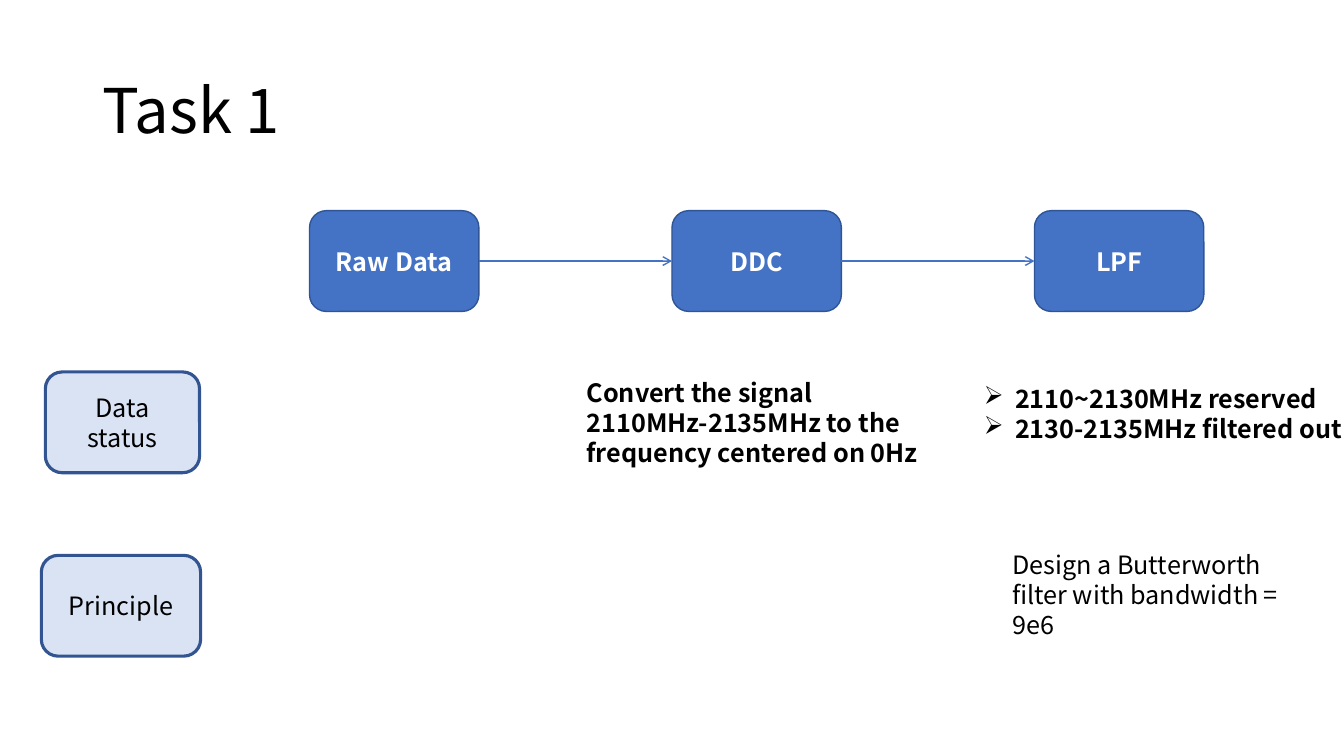
from lxml import etree
from pptx import Presentation
from pptx import util as u
from pptx.dml.color import RGBColor
from pptx.enum import shapes, text
from pptx.oxml.ns import qn

FONT = "Noto Sans CJK SC"
BLACK = RGBColor(0x00, 0x00, 0x00)
WHITE = RGBColor(0xFF, 0xFF, 0xFF)
BLUE = RGBColor(0x44, 0x72, 0xC4)
BLUE_EDGE = RGBColor(0x2F, 0x55, 0x97)
PALE = RGBColor(0xDA, 0xE3, 0xF3)
PALE_EDGE = RGBColor(0x32, 0x54, 0x91)

TITLE = ("Task 1", (0.92, 0.4, 11.5, 1.45))
STAGES = ["Raw Data", "DDC", "LPF"]
ROW_LABELS = [("Data status", (0.45, 3.69, 1.53, 1)),
              ("Principle", (0.41, 5.51, 1.58, 1))]
NOTES = [
    (["Convert the signal 2110MHz-2135MHz to the frequency centered on 0Hz"],
     (5.72, 3.69, 3.56, 1.01), {"bold": True}),
    (["2110~2130MHz reserved", "2130-2135MHz filtered out"],
     (9.66, 3.75, 3.85, 0.71), {"bold": True, "bullet": "➢"}),
    (["Design a Butterworth filter with bandwidth = 9e6"],
     (9.94, 5.4, 2.93, 1.01), {}),
]
STAGE_LEFT, STAGE_TOP, STAGE_STEP = 3.07, 2.09, 3.595
STAGE_W, STAGE_H = 1.68, 1
INDENT = u.Inches(0.31)


def write(sp, lines, size=18, color=BLACK, bold=False, align=text.PP_ALIGN.LEFT,
          anchor=text.MSO_ANCHOR.TOP, spacing=None, bullet=None):
    tf = sp.text_frame
    tf.word_wrap = True
    tf.vertical_anchor = anchor
    for i, line in enumerate(lines):
        p = tf.add_paragraph() if i else tf.paragraphs[0]
        p.alignment = align
        if spacing:
            p.line_spacing = spacing
        if bullet:
            pPr = p._p.get_or_add_pPr()
            pPr.set("marL", str(INDENT))
            pPr.set("indent", str(-INDENT))
            etree.SubElement(pPr, qn("a:buChar")).set("char", bullet)
        r = p.add_run()
        r.text = line
        r.font.name = FONT
        r.font.size = u.Pt(size)
        r.font.bold = bold
        r.font.color.rgb = color


def add_box(slide, label, place, fill, edge, width, **fmt):
    sp = slide.shapes.add_shape(shapes.MSO_SHAPE.ROUNDED_RECTANGLE, *map(u.Inches, place))
    sp.shadow.inherit = False
    sp.fill.solid()
    sp.fill.fore_color.rgb = fill
    sp.line.color.rgb = edge
    sp.line.width = u.Pt(width)
    write(sp, [label], align=text.PP_ALIGN.CENTER, anchor=text.MSO_ANCHOR.MIDDLE, **fmt)
    return sp


def add_text(slide, lines, place, **fmt):
    write(slide.shapes.add_textbox(*map(u.Inches, place)), lines, **fmt)


def add_arrow(slide, start, end):
    y = start.top + start.height // 2
    line = slide.shapes.add_connector(shapes.MSO_CONNECTOR.STRAIGHT,
                                      start.left + start.width, y, end.left, y)
    line.begin_connect(start, 3)
    line.end_connect(end, 1)
    line.line.color.rgb = BLUE
    line.line.width = u.Pt(1)
    etree.SubElement(line.line._get_or_add_ln(), qn("a:tailEnd")).set("type", "arrow")
    etree.SubElement(line._element.spPr, qn("a:effectLst"))


def main():
    prs = Presentation()
    prs.slide_width, prs.slide_height = u.Inches(13.33), u.Inches(7.5)
    slide = prs.slides.add_slide(prs.slide_layouts[6])

    title, place = TITLE
    add_text(slide, [title], place, size=44, spacing=0.9, anchor=text.MSO_ANCHOR.MIDDLE)

    stages = [add_box(slide, name, (STAGE_LEFT + i * STAGE_STEP, STAGE_TOP, STAGE_W, STAGE_H),
                      BLUE, BLUE_EDGE, 1, color=WHITE, bold=True)
              for i, name in enumerate(STAGES)]
    for start, end in zip(stages, stages[1:]):
        add_arrow(slide, start, end)

    for lines, place, fmt in NOTES:
        add_text(slide, lines, place, **fmt)
    for label, place in ROW_LABELS:
        add_box(slide, label, place, PALE, PALE_EDGE, 2.25)

    prs.save("out.pptx")


if __name__ == "__main__":
    main()
